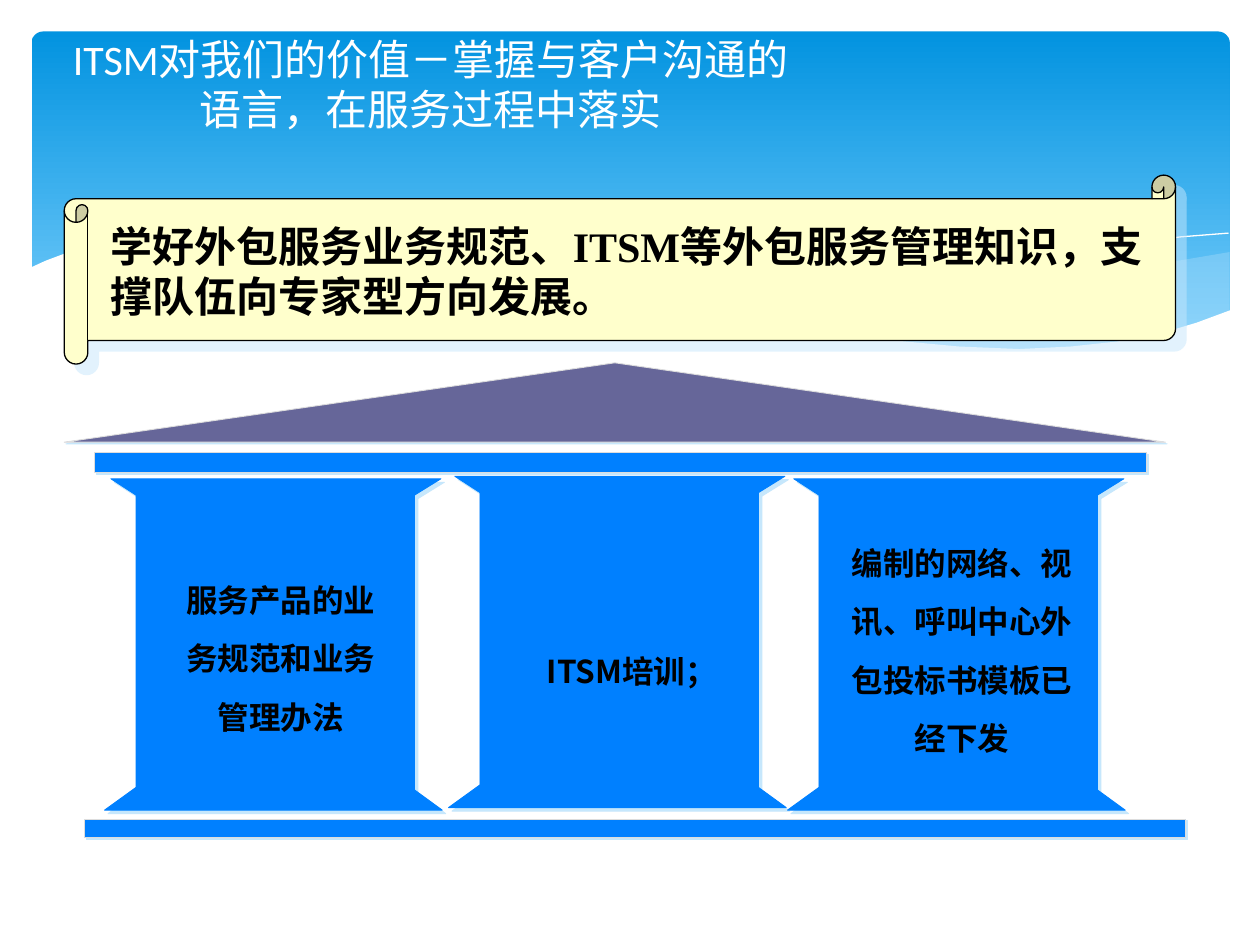
"""Build a slide showing service knowledge as a temple with three pillars."""
from dataclasses import dataclass
from typing import Optional

from lxml import etree
from pptx import Presentation
from pptx.dml.color import RGBColor
from pptx.enum import shapes, text
from pptx.oxml import ns
from pptx.util import Inches, Pt

Point = tuple[float, float]
Box = tuple[float, float, float, float]


@dataclass(frozen=True)
class Theme:
    """Colours, fonts and type sizes of the slide."""
    white: str = "FFFFFF"
    black: str = "000000"
    sky_top: str = "0293E0"
    sky_bottom: str = "83D3FE"
    mist: str = "C6E7FC"
    parchment: str = "FFFFCC"
    stone: str = "0080FF"
    roof: str = "666699"
    edge: str = "DDDDDD"
    title_font: str = "Calibri"
    banner_font: str = "Times New Roman"
    cjk_font: str = "Noto Sans CJK SC"
    heading_size: int = 24
    label_size: int = 18


@dataclass(frozen=True)
class Shadow:
    """A diagonal shadow with a distance in points and an opacity in percent."""
    distance: float
    opacity: int = 100


@dataclass(frozen=True)
class Wave:
    """A band or curve of the backdrop."""
    points: list[Point]
    fill: Optional[str] = None
    line: Optional[str] = None
    opacity: int = 100


@dataclass(frozen=True)
class Pillar:
    """A pillar with its label."""
    left: float
    top: float
    label: str
    label_box: Box
    spacing: float = 1.55
    before: float = 0


@dataclass(frozen=True)
class Block:
    """A preset shape of the temple or banner."""
    kind: shapes.MSO_SHAPE
    box: Box
    fill: str
    line: str
    weight: float
    shadow: Shadow


THEME = Theme()
SHAPE = shapes.MSO_SHAPE
PILLAR_OUTLINE = [(0.05, 0), (2.67, 0), (2.46, 0.13), (2.46, 2.47), (2.68, 2.63),
                  (0, 2.63), (0.25, 2.45), (0.25, 0.13)]
PILLARS = [
    Pillar(3.56, 3.78, "ITSM培训；", (4.04, 4.05, 1.95, 2.25), 2, 11.2),
    Pillar(0.83, 3.8, "服务产品的业务规范和业务管理办法", (1.41, 4.44, 1.64, 1.4)),
    Pillar(6.25, 3.8, "编制的网络、视讯、呼叫中心外包投标书模板已经下发",
           (6.75, 4.15, 1.77, 1.86)),
]
BANNER = Block(SHAPE.HORIZONTAL_SCROLL, (0.51, 1.39, 8.82, 1.5), THEME.parchment,
               THEME.black, 0.75, Shadow(8.5, 50))
BASE, ROOF, BEAM = [
    Block(kind, box, fill, THEME.edge, 0.5, Shadow(1.4))
    for kind, box, fill in (
        (SHAPE.RECTANGLE, (0.67, 6.5, 8.74, 0.15), THEME.stone),
        (SHAPE.ISOSCELES_TRIANGLE, (0.51, 2.88, 8.74, 0.63), THEME.roof),
        (SHAPE.RECTANGLE, (0.75, 3.59, 8.35, 0.16), THEME.stone))
]
WAVES = [
    Wave([(9.76, 2), (9.35, 2.07), (8.91, 2.16), (8.32, 2.3), (7.53, 2.48), (6.61, 2.65),
          (7.05, 2.71), (7.57, 2.76), (8.03, 2.78), (8.44, 2.77), (8.81, 2.73),
          (9.13, 2.67), (9.42, 2.59), (9.76, 2.47)], THEME.mist, opacity=29),
    Wave([(8.93, 2.73), (8.37, 2.65), (7.75, 2.54), (7.06, 2.4), (6.29, 2.22), (5.69, 2.08),
          (5.14, 1.98), (4.64, 1.91), (4.2, 1.87), (3.61, 1.85), (3.13, 1.88), (2.86, 1.91),
          (3.42, 1.99), (4.04, 2.11), (4.91, 2.32), (5.66, 2.48), (6.34, 2.61), (6.95, 2.7),
          (7.48, 2.76), (8.07, 2.79), (8.57, 2.77)], THEME.mist, opacity=40),
    Wave([(3.09, 1.95), (3.43, 1.9), (3.87, 1.87), (4.5, 1.88), (5.1, 1.92), (5.82, 2),
          (6.65, 2.13), (7.27, 2.26), (7.95, 2.42), (9.07, 2.72)], line=THEME.white),
    Wave([(6.13, 2.57), (6.95, 2.35), (7.76, 2.16), (8.36, 2.04), (8.95, 1.94),
          (9.37, 1.88), (9.75, 1.85)], line=THEME.white),
    Wave([(9.77, 2.46), (9.5, 2.56), (9.2, 2.65), (8.87, 2.71), (8.5, 2.75), (8.09, 2.77),
          (7.61, 2.75), (7.08, 2.7), (6.47, 2.62), (5.79, 2.5), (5.03, 2.33), (4.18, 2.13),
          (3.65, 2.02), (3.15, 1.94), (2.71, 1.88), (2.3, 1.85), (1.93, 1.84), (1.46, 1.85),
          (1.06, 1.89), (0.75, 1.95), (0.52, 2.01), (0.36, 2.07), (0.23, 2.13),
          (0.23, 3.29), (9.77, 3.29)], THEME.white),
]


def set_alpha(colour_parent, opacity: int) -> None:
    """Give the colour inside an element an opacity in percent."""
    colour = colour_parent.find(ns.qn("a:srgbClr"))
    etree.SubElement(colour, ns.qn("a:alpha"), val=str(opacity * 1000))


def paint(shape, fill: Optional[str], line: Optional[str] = None, weight: float = 0,
          shadow: Optional[Shadow] = None, opacity: int = 100) -> None:
    """Set the fill, outline and shadow of a shape."""
    shape.shadow.inherit = False
    if fill:
        shape.fill.solid()
        shape.fill.fore_color.rgb = RGBColor.from_string(fill)
        if opacity < 100:
            set_alpha(shape.element.spPr.find(ns.qn("a:solidFill")), opacity)
    else:
        shape.fill.background()
    if line:
        shape.line.color.rgb = RGBColor.from_string(line)
        shape.line.width = Pt(weight)
    else:
        shape.line.fill.background()
    if shadow:
        effects = shape.element.spPr.find(ns.qn("a:effectLst"))
        outer = etree.SubElement(effects, ns.qn("a:outerShdw"), dist=str(Pt(shadow.distance)),
                                 dir="2700000", algn="ctr", rotWithShape="0")
        etree.SubElement(outer, ns.qn("a:srgbClr"), val=THEME.mist)
        set_alpha(outer, shadow.opacity)


def draw_outline(slide, points: list[Point], close: bool = True):
    """Draw a freeform through points given in inches."""
    start, *rest = [(Inches(x), Inches(y)) for x, y in points]
    builder = slide.shapes.build_freeform(*start)
    builder.add_line_segments(rest, close=close)
    return builder.convert_to_shape()


def draw_block(slide, block: Block) -> None:
    """Draw a preset shape."""
    shape = slide.shapes.add_shape(block.kind, *map(Inches, block.box))
    paint(shape, block.fill, block.line, block.weight, block.shadow)


def write(shape, content: str, *, font: str, size: float, colour: str = THEME.black,
          bold: bool = False, align=text.PP_ALIGN.CENTER, anchor=text.MSO_ANCHOR.MIDDLE,
          inset: Point = (0, 0), spacing: Optional[float] = None, before: float = 0) -> None:
    """Fill a shape with one formatted paragraph."""
    frame = shape.text_frame
    frame.word_wrap = True
    frame.auto_size = text.MSO_AUTO_SIZE.NONE
    frame.vertical_anchor = anchor
    frame.margin_left = frame.margin_right = Inches(inset[0])
    frame.margin_top = frame.margin_bottom = Inches(inset[1])
    paragraph = frame.paragraphs[0]
    paragraph.alignment = align
    paragraph.space_before = Pt(before)
    paragraph.line_spacing = spacing
    run = paragraph.add_run()
    run.text = content
    run.font.name, run.font.size, run.font.bold = font, Pt(size), bold
    run.font.color.rgb = RGBColor.from_string(colour)
    etree.SubElement(run.font._element, ns.qn("a:ea"), typeface=THEME.cjk_font)


def draw_backdrop(slide) -> None:
    """Draw the sky panel and its waves."""
    sky = slide.shapes.add_shape(SHAPE.ROUNDED_RECTANGLE, *map(Inches, (0.25, 0.25, 9.51, 2.7)))
    sky.adjustments[0] = 0.034
    paint(sky, None)
    sky.fill.gradient()
    sky.fill.gradient_angle = 270
    for stop, colour in zip(sky.fill.gradient_stops, (THEME.sky_top, THEME.sky_bottom)):
        stop.color.rgb = RGBColor.from_string(colour)
    for wave in WAVES:
        shape = draw_outline(slide, wave.points, close=wave.fill is not None)
        paint(shape, wave.fill, wave.line, opacity=wave.opacity)


def draw_title(slide) -> None:
    """Place the title in front of the backdrop."""
    title = slide.shapes.title
    title.left, title.top, title.width, title.height = map(Inches, (0.43, 0.13, 5.98, 1.07))
    write(title, "ITSM对我们的价值－掌握与客户沟通的语言，在服务过程中落实",
          font=THEME.title_font, size=THEME.heading_size, colour=THEME.white, inset=(0.05, 0.05))
    slide.shapes._spTree.append(title.element)


def main() -> None:
    """Build and save the presentation."""
    presentation = Presentation()
    presentation.slide_width, presentation.slide_height = Inches(10), Inches(7.5)
    slide = presentation.slides.add_slide(presentation.slide_layouts[5])
    draw_backdrop(slide)
    draw_title(slide)
    draw_block(slide, BANNER)
    write(slide.shapes.add_textbox(*map(Inches, (0.83, 1.7, 8.47, 0.9))),
          "学好外包服务业务规范、ITSM等外包服务管理知识，支撑队伍向专家型方向发展。",
          font=THEME.banner_font, size=THEME.heading_size, bold=True, before=6,
          align=text.PP_ALIGN.LEFT, anchor=text.MSO_ANCHOR.TOP, inset=(0.05, 0.05))
    for pillar in PILLARS:
        points = [(pillar.left + x, pillar.top + y) for x, y in PILLAR_OUTLINE]
        paint(draw_outline(slide, points), THEME.stone, THEME.stone, 0.5, Shadow(2.8))
    draw_block(slide, BASE)
    for pillar in PILLARS:
        write(slide.shapes.add_textbox(*map(Inches, pillar.label_box)), pillar.label,
              font=THEME.cjk_font, size=THEME.label_size, bold=True,
              spacing=pillar.spacing, before=pillar.before)
    for block in (ROOF, BEAM):
        draw_block(slide, block)
    presentation.save("out.pptx")


if __name__ == "__main__":
    main()
